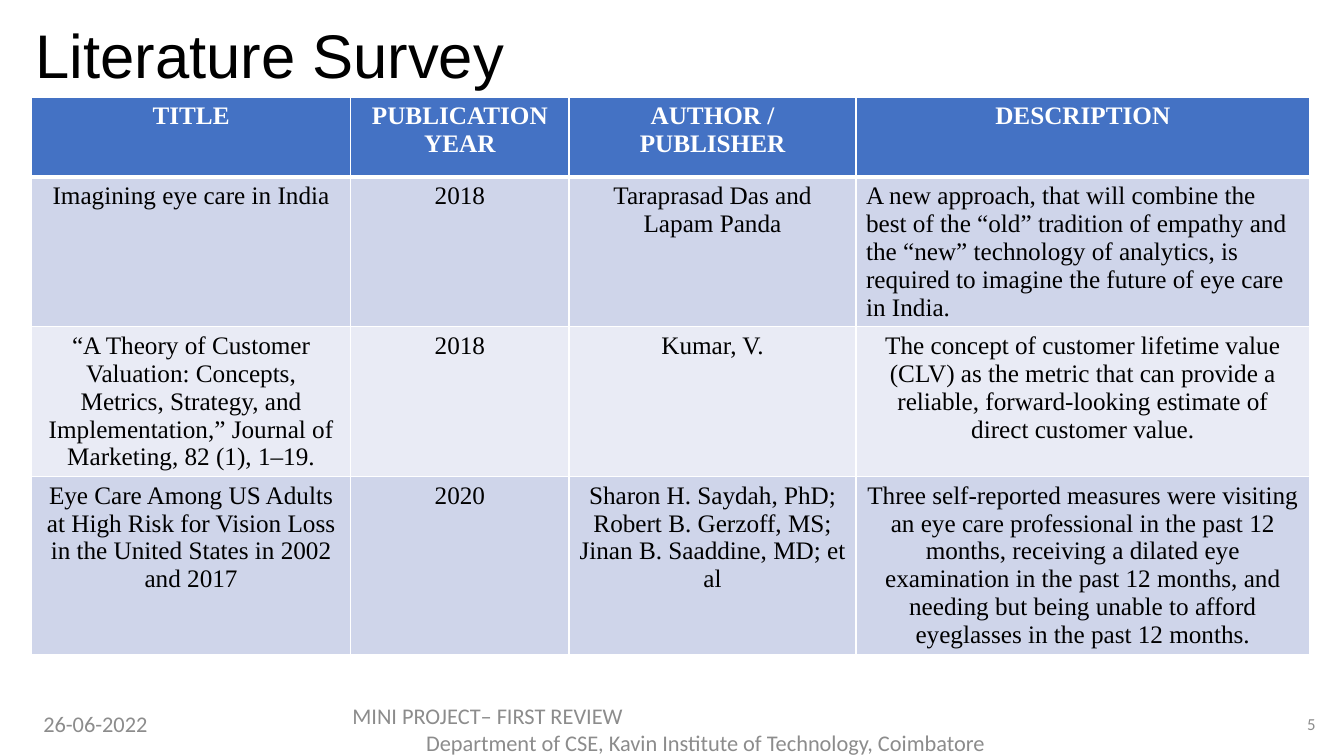
"""Build the literature survey slide with its table and footer."""
from dataclasses import dataclass

from lxml.etree import SubElement
from pptx import Presentation
from pptx.dml.color import RGBColor
from pptx.enum.text import MSO_ANCHOR, PP_ALIGN
from pptx.oxml.ns import qn
from pptx.slide import Slide
from pptx.table import _Cell
from pptx.text.text import TextFrame, _Paragraph
from pptx.util import Pt


@dataclass(frozen=True)
class Theme:
    ink: str = "000000"
    paper: str = "FFFFFF"
    muted: str = "8C8C8C"
    header: str = "4472C4"
    bands: tuple[str, str] = ("CFD5EA", "E9EBF5")
    title_font: str = "Arial"
    table_font: str = "Times New Roman"
    footer_font: str = "Calibri"
    title_size: float = 44
    table_size: float = 18
    footer_size: float = 16
    number_size: float = 12


@dataclass(frozen=True)
class Study:
    title: str
    year: str
    author: str
    description: str
    height: float
    description_align: PP_ALIGN = PP_ALIGN.CENTER


@dataclass(frozen=True)
class FooterItem:
    lines: tuple[tuple[str, PP_ALIGN], ...]
    left: float
    top: float
    width: float
    size: float
    indent: float = 0


THEME = Theme()
TABLE_LEFT, TABLE_TOP = 22.5, 69.5
COLUMN_WIDTHS = (228, 156, 205, 324)
HEADINGS = ("TITLE", "PUBLICATION YEAR", "AUTHOR / PUBLISHER", "DESCRIPTION")
HEADER_HEIGHT = 57
FOOTER_HEIGHT = 28.8

STUDIES = (
    Study(
        "Imagining eye care in India",
        "2018",
        "Taraprasad Das and Lapam Panda",
        "A new approach, that will combine the best of the “old” tradition of empathy "
        "and the “new” technology of analytics, is required to imagine the future of "
        "eye care in India.",
        107,
        PP_ALIGN.LEFT,
    ),
    Study(
        "“A Theory of Customer Valuation: Concepts, Metrics, Strategy, and "
        "Implementation,” Journal of Marketing, 82 (1), 1–19.",
        "2018",
        "Kumar, V.",
        "The concept of customer lifetime value (CLV) as the metric that can provide a "
        "reliable, forward-looking estimate of direct customer value.",
        107,
    ),
    Study(
        "Eye Care Among US Adults at High Risk for Vision Loss in the United States "
        "in 2002 and 2017",
        "2020",
        "Sharon H. Saydah, PhD; Robert B. Gerzoff, MS; Jinan B. Saaddine, MD; et al",
        "Three self-reported measures were visiting an eye care professional in the "
        "past 12 months, receiving a dilated eye examination in the past 12 months, "
        "and needing but being unable to afford eyeglasses in the past 12 months.",
        127,
    ),
)

FOOTER = (
    FooterItem((("26-06-2022", PP_ALIGN.LEFT),), 23.8, 502.6, 104.4, THEME.footer_size),
    FooterItem((("5", PP_ALIGN.RIGHT),), 902.9, 502.6, 43.9, THEME.number_size),
    FooterItem(
        (
            ("MINI PROJECT– FIRST REVIEW", PP_ALIGN.LEFT),
            ("Department of CSE, Kavin Institute of Technology, Coimbatore", PP_ALIGN.CENTER),
        ),
        237.6, 506.2, 532.8, THEME.footer_size, indent=7,
    ),
)


def write(paragraph: _Paragraph, text: str, *, font: str, size: float, color: str,
          bold: bool = False, align: PP_ALIGN = PP_ALIGN.LEFT) -> None:
    """Put formatted text in a paragraph."""
    paragraph.alignment = align
    run = paragraph.add_run()
    run.text = text
    run.font.name = font
    run.font.size = Pt(size)
    run.font.bold = bold
    run.font.color.rgb = RGBColor.from_string(color)


def indent(paragraph: _Paragraph, margin: float, first_line: float) -> None:
    """Set the left margin and first-line indent of a paragraph."""
    properties = paragraph._p.get_or_add_pPr()
    properties.set("marL", str(Pt(margin)))
    properties.set("indent", str(Pt(first_line)))


def add_title(slide: Slide) -> None:
    """Place and format the title placeholder."""
    heading = slide.shapes.title
    heading.left, heading.top = Pt(10.8), Pt(8.6)
    heading.width, heading.height = Pt(828), Pt(66.2)
    frame: TextFrame = heading.text_frame
    frame.vertical_anchor = MSO_ANCHOR.MIDDLE
    line = frame.paragraphs[0]
    line.line_spacing = 0.9
    write(line, "Literature Survey", font=THEME.title_font,
          size=THEME.title_size, color=THEME.ink)
    indent(line, 42.5, -35.3)


def add_borders(cell: _Cell, top: float, bottom: float) -> None:
    """Draw the cell borders, with the given top and bottom widths."""
    for side, width in (("L", 1), ("R", 1), ("T", top), ("B", bottom)):
        border = SubElement(cell._tc.get_or_add_tcPr(), qn(f"a:ln{side}"), w=str(Pt(width)))
        fill = SubElement(border, qn("a:solidFill"))
        SubElement(fill, qn("a:srgbClr"), val=THEME.paper)


def fill_cell(cell: _Cell, text: str, *, fill: str, color: str, bold: bool = False,
              align: PP_ALIGN = PP_ALIGN.CENTER, top: float = 1, bottom: float = 1) -> None:
    """Write a table cell with its borders and fill."""
    add_borders(cell, top, bottom)
    cell.fill.solid()
    cell.fill.fore_color.rgb = RGBColor.from_string(fill)
    write(cell.text_frame.paragraphs[0], text, font=THEME.table_font,
          size=THEME.table_size, color=color, bold=bold, align=align)


def add_survey(slide: Slide) -> None:
    """Add the table of studies."""
    heights = (HEADER_HEIGHT, *(study.height for study in STUDIES))
    survey = slide.shapes.add_table(
        len(heights), len(HEADINGS), Pt(TABLE_LEFT), Pt(TABLE_TOP),
        Pt(sum(COLUMN_WIDTHS)), Pt(sum(heights)),
    ).table
    for column, width in zip(survey.columns, COLUMN_WIDTHS):
        column.width = Pt(width)
    for row, height in zip(survey.rows, heights):
        row.height = Pt(height)
    for column, heading in enumerate(HEADINGS):
        fill_cell(survey.cell(0, column), heading, fill=THEME.header,
                  color=THEME.paper, bold=True, bottom=3)
    for index, study in enumerate(STUDIES):
        entries = (
            (study.title, PP_ALIGN.CENTER),
            (study.year, PP_ALIGN.CENTER),
            (study.author, PP_ALIGN.CENTER),
            (study.description, study.description_align),
        )
        for column, (text, align) in enumerate(entries):
            fill_cell(survey.cell(index + 1, column), text, fill=THEME.bands[index % 2],
                      color=THEME.ink, align=align, top=1 if index else 3)


def add_footer_item(slide: Slide, item: FooterItem) -> None:
    """Add one text box of the footer."""
    frame = slide.shapes.add_textbox(
        Pt(item.left), Pt(item.top), Pt(item.width), Pt(FOOTER_HEIGHT)).text_frame
    frame.word_wrap = True
    frame.vertical_anchor = MSO_ANCHOR.MIDDLE
    for index, (text, align) in enumerate(item.lines):
        line = frame.add_paragraph() if index else frame.paragraphs[0]
        write(line, text, font=THEME.footer_font, size=item.size,
              color=THEME.muted, align=align)
        if align == PP_ALIGN.LEFT:
            indent(line, item.indent, 0)


def main() -> None:
    """Build and save the slide."""
    presentation = Presentation()
    presentation.slide_width, presentation.slide_height = Pt(960), Pt(540)
    slide = presentation.slides.add_slide(presentation.slide_layouts.get_by_name("Title Only"))
    add_title(slide)
    add_survey(slide)
    for item in FOOTER:
        add_footer_item(slide, item)
    presentation.save("out.pptx")


if __name__ == "__main__":
    main()
